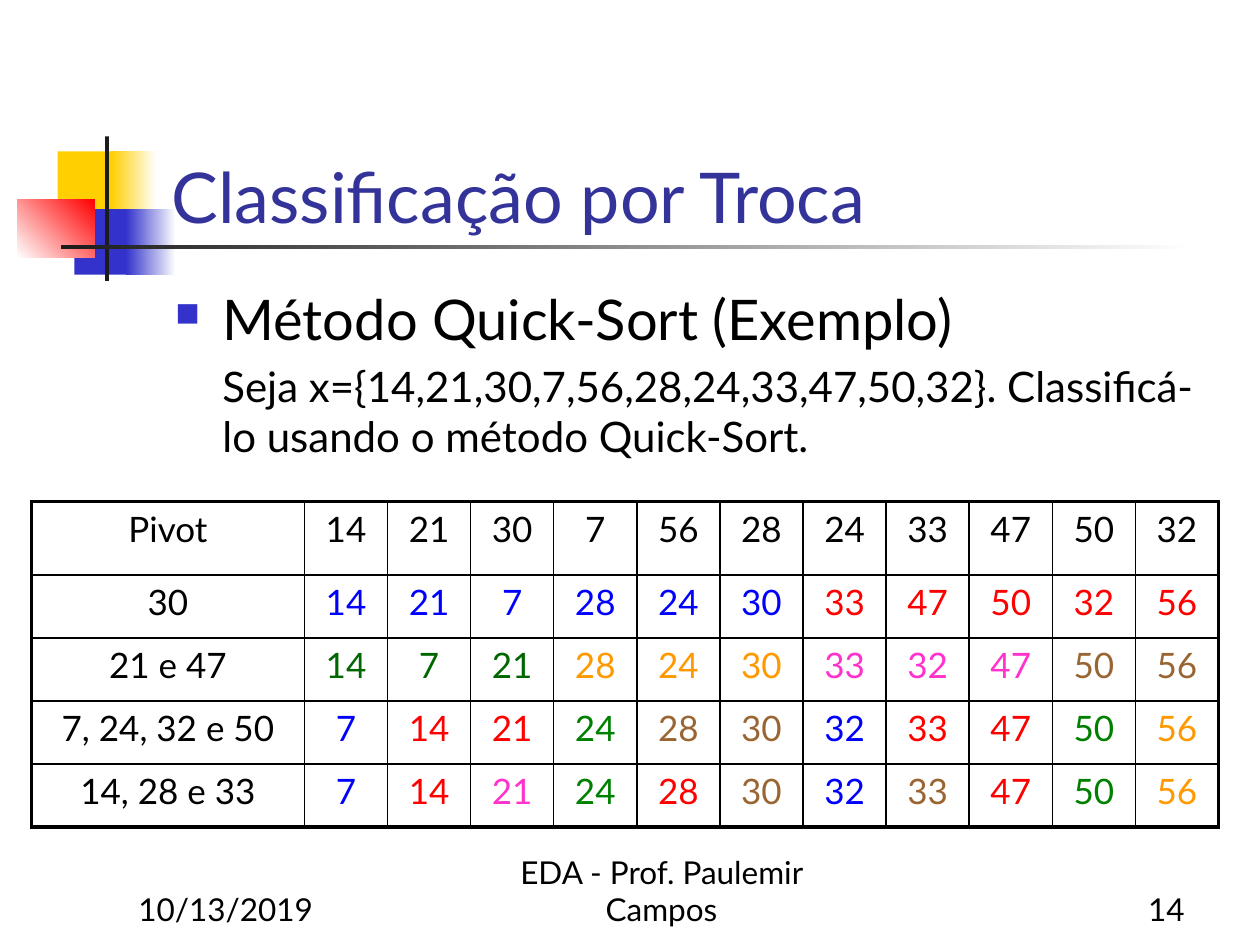
from lxml import etree
from pptx import Presentation
from pptx.dml.color import RGBColor
from pptx.enum.shapes import MSO_SHAPE
from pptx.enum.text import MSO_ANCHOR, PP_ALIGN
from pptx.oxml.ns import qn
from pptx.util import Pt

RECTANGLE = MSO_SHAPE.RECTANGLE
TOP, BOTTOM = MSO_ANCHOR.TOP, MSO_ANCHOR.BOTTOM
LEFT, CENTER, RIGHT = PP_ALIGN.LEFT, PP_ALIGN.CENTER, PP_ALIGN.RIGHT

THEME = {
    "font": "Lato",
    "size": {"title": 40, "heading": 32, "body": 24, "table": 20, "footer": 18},
    "color": {
        "text": "000000", "title": "333399", "bullet": "3333CC",
        "yellow": "FFCF01", "red": "FF0000", "white": "FFFFFF", "dark": "1C1C1C",
        "blue": "0000FF", "forest": "006600", "green": "008000",
        "orange": "FF9900", "pink": "FF33CC", "brown": "996633",
    },
}
COLOR = THEME["color"]


def add_span(para, text, size, color="text"):
    span = para.add_run()
    span.text = text
    span.font.name = THEME["font"]
    span.font.size = Pt(THEME["size"][size])
    span.font.color.rgb = RGBColor.from_string(COLOR[color])


def add_box(left, top, width, height, anchor):
    """Add a wrapping text box and return its text frame."""
    frame = page.shapes.add_textbox(Pt(left), Pt(top), Pt(width), Pt(height)).text_frame
    frame.word_wrap = True
    frame.vertical_anchor = anchor
    return frame


deck = Presentation()
deck.slide_width, deck.slide_height = Pt(720), Pt(540)
page = deck.slides.add_slide(deck.slide_layouts[6])

# Corner ornament: left, top, width, height, start colour, end colour, angle
ornament = [
    (33, 86.5, 34.5, 37.5, "yellow", None, 0),
    (63.5, 86.5, 26, 37.5, "yellow", "white", 0),
    (42.5, 119.5, 33, 37.5, "bullet", None, 0),
    (72, 119.5, 28.5, 37.5, "bullet", "white", 0),
    (10, 113.75, 44, 33.25, "white", "red", 45),
    (60, 78, 2.25, 82.5, "dark", None, 0),
    (34.75, 140.25, 648, 2.25, "dark", "white", 0),
]
for left, top, width, height, start, end, angle in ornament:
    block = page.shapes.add_shape(RECTANGLE, Pt(left), Pt(top), Pt(width), Pt(height))
    block.shadow.inherit = False
    block.line.fill.background()
    if end:
        block.fill.gradient()
        block.fill.gradient_angle = angle
        for stop, name in zip(block.fill.gradient_stops, (start, end)):
            stop.color.rgb = RGBColor.from_string(COLOR[name])
    else:
        block.fill.solid()
        block.fill.fore_color.rgb = RGBColor.from_string(COLOR[start])

# Footer
footer = [
    (72, 150, LEFT, "10/13/2019"),
    (264, 228, CENTER, "EDA - Prof. Paulemir Campos"),
    (534, 150, RIGHT, "14"),
]
for left, width, align, text in footer:
    para = add_box(left, 498, width, 36, BOTTOM).paragraphs[0]
    para.alignment = align
    add_span(para, text, "footer")

# Title and body
title = add_box(91, 49, 613, 90, BOTTOM)
add_span(title.paragraphs[0], "Classificação por Troca", "title", "title")

body = add_box(93, 159, 612, 111, TOP)
heading = body.paragraphs[0]
add_span(heading, "Método Quick-Sort (Exemplo)", "heading")
statement = body.add_paragraph()
add_span(statement, "Seja x={14,21,30,7,56,28,24,33,47,50,32}. "
         "Classificá-lo usando o método Quick-Sort.", "body")
for para, size, indent in ((heading, "heading", -27), (statement, "body", 0)):
    para.space_before = Pt(THEME["size"][size] * 0.2)
    properties = para._p.get_or_add_pPr()
    properties.set("marL", str(Pt(27)))
    properties.set("indent", str(Pt(indent)))

bullet = heading._p.get_or_add_pPr()
bullet_color = etree.SubElement(bullet, qn("a:buClr"))
etree.SubElement(bullet_color, qn("a:srgbClr"), val=COLOR["bullet"])
etree.SubElement(bullet, qn("a:buSzPct"), val="60000")
etree.SubElement(bullet, qn("a:buChar"), char="■")

# Sorting steps: pivots, then groups of values that share a colour
steps = [
    ("Pivot", [("text", "14 21 30 7 56 28 24 33 47 50 32")]),
    ("30", [("blue", "14 21 7 28 24 30"), ("red", "33 47 50 32 56")]),
    ("21 e 47", [("forest", "14 7 21"), ("orange", "28 24 30"),
                 ("pink", "33 32 47"), ("brown", "50 56")]),
    ("7, 24, 32 e 50", [("blue", "7"), ("red", "14 21"), ("green", "24"),
                        ("brown", "28 30"), ("blue", "32"), ("red", "33 47"),
                        ("green", "50"), ("orange", "56")]),
    ("14, 28 e 33", [("blue", "7"), ("red", "14"), ("pink", "21"), ("green", "24"),
                     ("red", "28"), ("brown", "30"), ("blue", "32"), ("brown", "33"),
                     ("red", "47"), ("green", "50"), ("orange", "56")]),
]
widths = [156] + [47.5] * 11
heights = [42] + [36] * 4
last_row, last_column = len(heights) - 1, len(widths) - 1
table = page.shapes.add_table(len(heights), len(widths), Pt(18), Pt(286.5),
                              Pt(sum(widths)), Pt(sum(heights))).table
table.first_row = table.horz_banding = False
for column, width in zip(table.columns, widths):
    column.width = Pt(width)
for row, height in zip(table.rows, heights):
    row.height = Pt(height)

for r, (pivots, groups) in enumerate(steps):
    entries = [(pivots, "text")]
    entries += [(value, color) for color, values in groups for value in values.split()]
    for c, (text, color) in enumerate(entries):
        cell = table.cell(r, c)
        para = cell.text_frame.paragraphs[0]
        para.alignment = CENTER
        para.space_before = Pt(THEME["size"]["table"] * 0.2)
        add_span(para, text, "table", color)

        outer_edges = {"a:lnL": c == 0, "a:lnR": c == last_column,
                       "a:lnT": r == 0, "a:lnB": r == last_row}
        cell_properties = cell._tc.get_or_add_tcPr()
        for tag, is_outer in outer_edges.items():
            border = etree.SubElement(cell_properties, qn(tag),
                                      w=str(Pt(2.25 if is_outer else 1)))
            border_fill = etree.SubElement(border, qn("a:solidFill"))
            etree.SubElement(border_fill, qn("a:srgbClr"), val=COLOR["text"])
        cell.fill.background()

deck.save("out.pptx")
